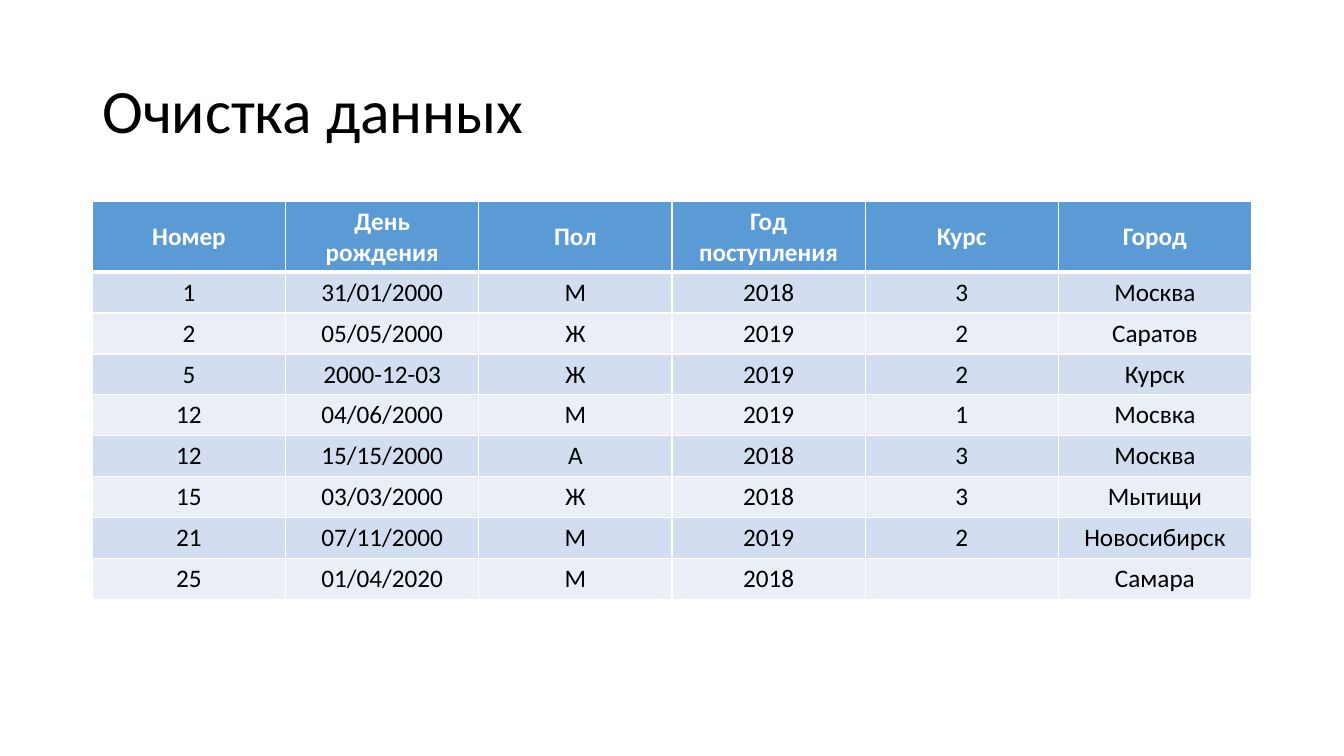
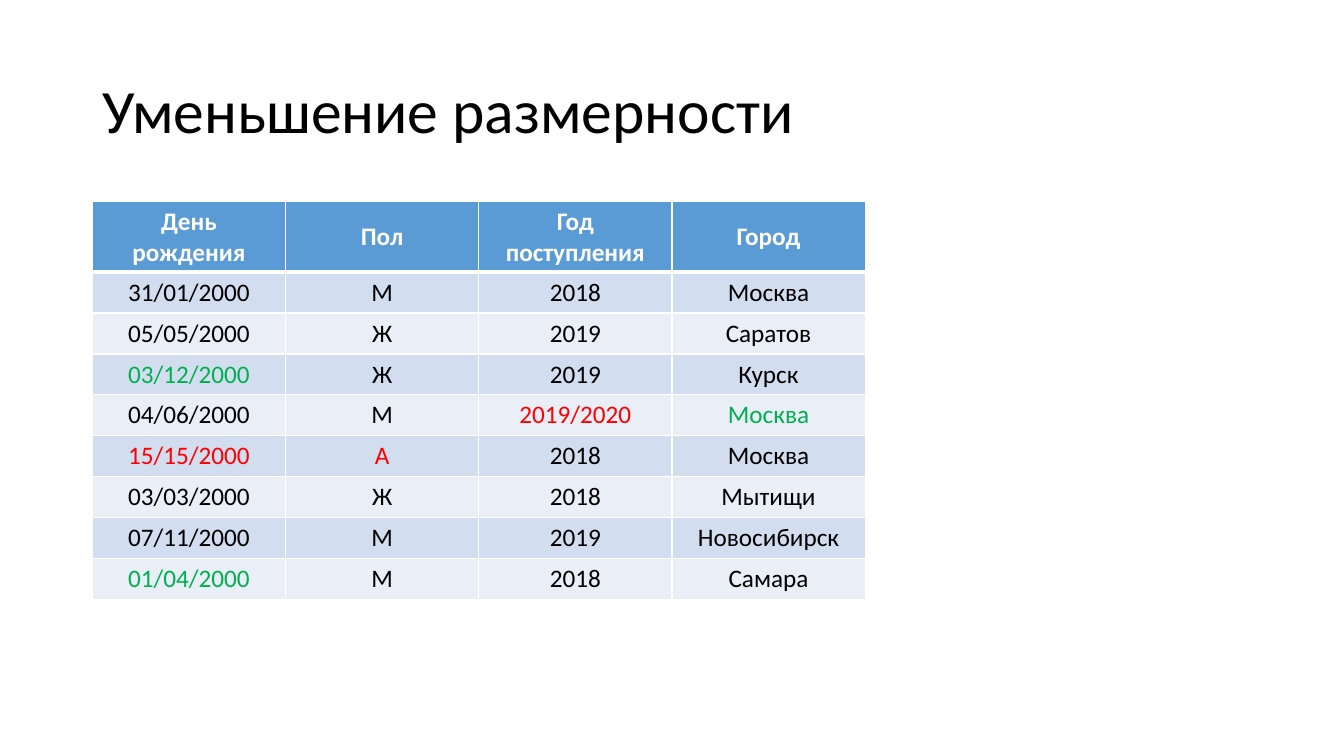
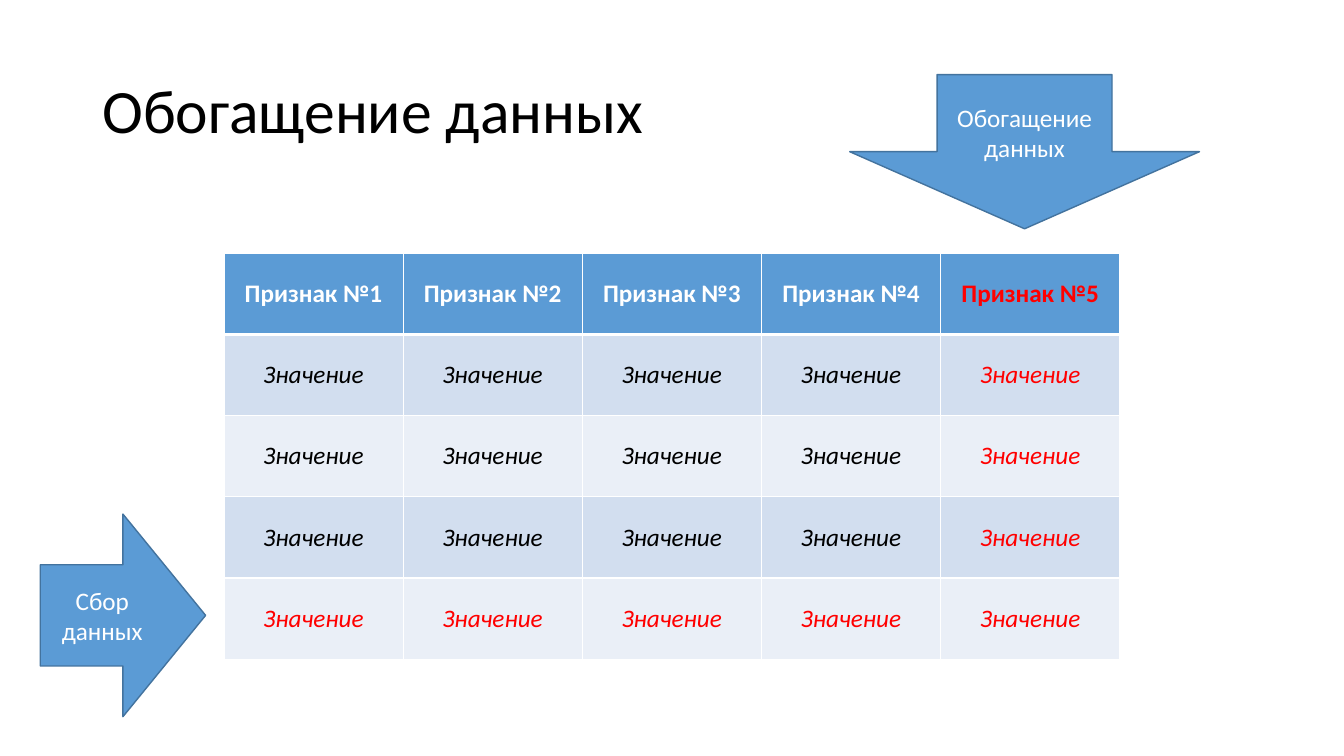
from lxml.etree import SubElement
from pptx import Presentation
from pptx.dml.color import RGBColor as RGB
from pptx.enum.shapes import MSO_SHAPE as SHAPE
from pptx.enum.text import MSO_ANCHOR as ANCHOR, PP_ALIGN as ALIGN
from pptx.oxml.ns import qn
from pptx.util import Inches, Pt

COLORS = {"blue": "5B9BD5", "edge": "43739E", "band": "D2DEEF", "pale": "EAEFF7",
          "white": "FFFFFF", "black": "000000", "red": "FF0000", "green": "00B050"}
COLS, ROWS = 160, 90  # grid of twelve squares to the inch
MARGIN = 11


class Deck:
    """Holds the shared style and the current slide."""
    font = "Calibri"
    title_format = {"size": Pt(44)}
    text_format = {"size": Pt(18)}

    def __init__(self):
        self.prs = Presentation()
        self.prs.slide_width, self.prs.slide_height = self.grid(COLS, ROWS)
        self.s = None

    def grid(self, *cells):
        return [Inches(n / 12) for n in cells]

    def rgb(self, name):
        return RGB.from_string(COLORS[name])

    def add_text(self, tf, text, color, align=ALIGN.CENTER, **fmt):
        p = tf.paragraphs[0]
        p.alignment = align
        r = p.add_run()
        r.text = text
        r.font.color.rgb = self.rgb(color)
        for key, value in {"name": self.font, **fmt}.items():
            setattr(r.font, key, value)
        return p

    def slide(self, title):
        self.s = self.prs.slides.add_slide(self.prs.slide_layouts[6])
        tf = self.s.shapes.add_textbox(*self.grid(MARGIN, 4.8, 138, 17.4)).text_frame
        tf.word_wrap = True
        tf.vertical_anchor = ANCHOR.MIDDLE
        p = self.add_text(tf, title, "black", ALIGN.LEFT, **self.title_format)
        p.line_spacing = 0.9

    def borders(self, cell, widths):
        tcPr = cell._tc.get_or_add_tcPr()
        for i, (side, width) in enumerate(widths.items()):
            ln = SubElement(tcPr, qn(f"a:ln{side}"), w=str(Pt(width)))
            fill = SubElement(ln, qn("a:solidFill"))
            SubElement(fill, qn("a:srgbClr"), val=COLORS["white"])
            tcPr.insert(i, ln)

    def table(self, x, y, col_w, heights, data, accents=None, italic=False):
        accents = accents or {}
        n_rows, n_cols = len(data), len(data[0])
        head_h, body_h = heights
        height = head_h + body_h * (n_rows - 1)
        box = self.grid(x, y, col_w * n_cols, height)
        tbl = self.s.shapes.add_table(n_rows, n_cols, *box).table
        for col in tbl.columns:
            col.width, = self.grid(col_w)
        for i, row in enumerate(data):
            head = i == 0
            tbl.rows[i].height, = self.grid(head_h if head else body_h)
            for j, text in enumerate(row):
                cell = tbl.cell(i, j)
                cell.vertical_anchor = ANCHOR.MIDDLE
                cell.fill.solid()
                fill = "blue" if head else ("pale", "band")[i % 2]
                cell.fill.fore_color.rgb = self.rgb(fill)
                self.borders(cell, {"L": 1, "R": 1, "T": 3 if i == 1 else 1,
                                    "B": 3 if head else 1})
                if text:
                    color = accents.get((i, j), "white" if head else "black")
                    self.add_text(cell.text_frame, text, color, bold=head,
                                  italic=italic and not head, **self.text_format)

    def arrow(self, kind, x, y, w, h, text):
        sp = self.s.shapes.add_shape(kind, *self.grid(x, y, w, h))
        sp.shadow.inherit = False
        sp.fill.solid()
        sp.fill.fore_color.rgb = self.rgb("blue")
        sp.line.color.rgb = self.rgb("edge")
        sp.line.width = Pt(1)
        tf = sp.text_frame
        tf.word_wrap = True
        tf.vertical_anchor = ANCHOR.MIDDLE
        self.add_text(tf, text, "white", **self.text_format)


deck = Deck()
student_table = {"x": MARGIN, "y": 24, "col_w": 23, "heights": (8.4, 4.87)}

# Data cleaning
deck.slide("Очистка данных")
deck.table(**student_table, data=[
    ("Номер", "День рождения", "Пол", "Год поступления", "Курс", "Город"),
    ("1", "31/01/2000", "М", "2018", "3", "Москва"),
    ("2", "05/05/2000", "Ж", "2019", "2", "Саратов"),
    ("5", "2000-12-03", "Ж", "2019", "2", "Курск"),
    ("12", "04/06/2000", "М", "2019", "1", "Мосвка"),
    ("12", "15/15/2000", "А", "2018", "3", "Москва"),
    ("15", "03/03/2000", "Ж", "2018", "3", "Мытищи"),
    ("21", "07/11/2000", "М", "2019", "2", "Новосибирск"),
    ("25", "01/04/2020", "М", "2018", "", "Самара"),
])

# Dimensionality reduction
deck.slide("Уменьшение размерности")
fixed, doubtful = [(3, 0), (4, 3), (8, 0)], [(4, 2), (5, 0), (5, 1)]
deck.table(**student_table, data=[
    ("День рождения", "Пол", "Год поступления", "Город"),
    ("31/01/2000", "М", "2018", "Москва"),
    ("05/05/2000", "Ж", "2019", "Саратов"),
    ("03/12/2000", "Ж", "2019", "Курск"),
    ("04/06/2000", "М", "2019/2020", "Москва"),
    ("15/15/2000", "А", "2018", "Москва"),
    ("03/03/2000", "Ж", "2018", "Мытищи"),
    ("07/11/2000", "М", "2019", "Новосибирск"),
    ("01/04/2000", "М", "2018", "Самара"),
], accents={**dict.fromkeys(fixed, "green"), **dict.fromkeys(doubtful, "red")})

# Data enrichment: the last row and column are new
deck.slide("Обогащение данных")
size = 5
last = size - 1
added = [(i, last) for i in range(size)] + [(last, j) for j in range(last)]
features = [f"Признак №{n}" for n in range(1, size + 1)]
deck.table(COLS / 6, 30.15, COLS * 2 / 3 / size, (9.67, 9.67),
           [features] + [["Значение"] * size] * last,
           accents=dict.fromkeys(added, "red"), italic=True)
deck.arrow(SHAPE.RIGHT_ARROW, 4.8, 61.2, 19.68, 24.12, "Сбор данных")
deck.arrow(SHAPE.DOWN_ARROW, 101.16, 8.88, 41.64, 18.36, "Обогащение данных")

deck.prs.save("out.pptx")
